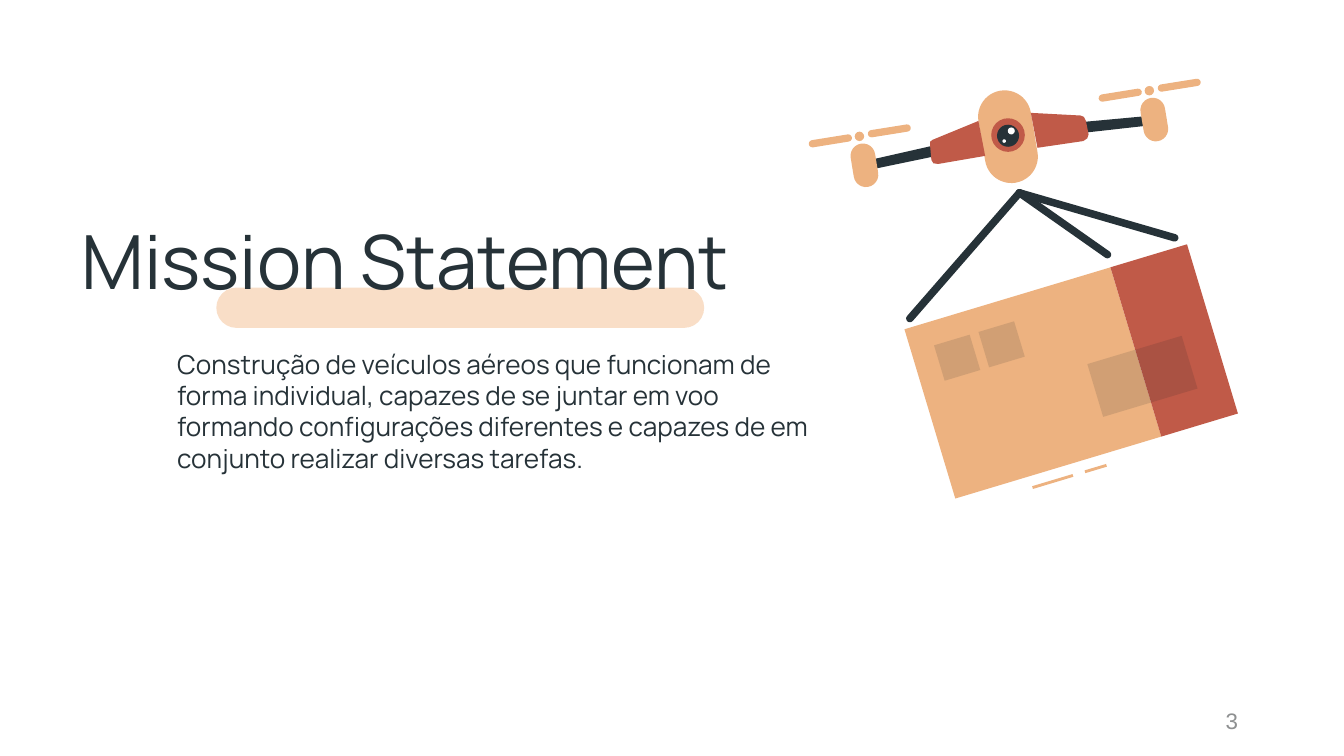
import math

from lxml import etree
from pptx import Presentation, util as u
from pptx.dml.color import RGBColor
from pptx.enum import shapes as sh, text as tx
from pptx.oxml import ns

# The slide is a grid of square cells, 100 columns wide.
COLS, ROWS = 100, 56.25
CELL = u.Inches(0.1)

INK = RGBColor(0x26, 0x32, 0x38)
SAND = RGBColor(0xED, 0xB2, 0x80)
PALE = RGBColor(0xF9, 0xDE, 0xC7)
RUST = RGBColor(0xC0, 0x5A, 0x48)
SHADE = RGBColor(0x1A, 0x23, 0x27)
WHITE = RGBColor(0xFF, 0xFF, 0xFF)
GREY = RGBColor(0x8E, 0x90, 0x91)

TILT = math.atan2(4.6, 15.3)
CRATE = (67.3, 24.5)
SPAN, TALL = 16, 13.15
HOOK = (75.85, 14.35)


def grid(*cells):
    return [u.Emu(round(n * CELL)) for n in cells]


def paint(shape, color):
    shape.shadow.inherit = False
    shape.fill.solid()
    shape.fill.fore_color.rgb = color
    shape.line.fill.background()
    return shape


def poly(art, points, color):
    pts = [grid(*p) for p in points]
    form = art.build_freeform(*pts[0], scale=1.0)
    form.add_line_segments(pts[1:], close=True)
    return paint(form.convert_to_shape(), color)


def bar(art, start, end, thick, color):
    """Round-ended bar whose caps are centred on start and end."""
    (x1, y1), (x2, y2) = start, end
    size = math.dist(start, end) + thick
    left, top = (x1 + x2 - size) / 2, (y1 + y2 - thick) / 2
    pill = art.add_shape(sh.MSO_SHAPE.ROUNDED_RECTANGLE,
                         *grid(left, top, size, thick))
    pill.adjustments[0] = 0.5
    pill.rotation = math.degrees(math.atan2(y2 - y1, x2 - x1))
    return paint(pill, color)


def disc(art, x, y, r, color):
    spot = art.add_shape(sh.MSO_SHAPE.OVAL,
                         *grid(x - r, y - r, 2 * r, 2 * r))
    paint(spot, color)


def panel(art, along, down, wide, high, color):
    """Rectangle measured along the tilted edges of the crate."""
    cos, sin = math.cos(TILT), math.sin(TILT)
    ends = [(along, down), (along + wide, down),
            (along + wide, down + high), (along, down + high)]
    return poly(art, [(CRATE[0] + a * cos + d * sin,
                       CRATE[1] - a * sin + d * cos) for a, d in ends], color)


def fade(shape, share):
    tone = shape.fill._xPr.find(".//" + ns.qn("a:srgbClr"))
    etree.SubElement(tone, ns.qn("a:alpha"), val=str(share * 1000))


def rotor(art, x, y):
    """Motor with two blades around the hub at x, y."""
    bar(art, (x + 0.25, y + 1.45), (x + 0.48, y + 2.85), 1.84, SAND)
    disc(art, x, y, 0.35, SAND)
    bar(art, (x + 0.9, y - 0.2), (x + 3.55, y - 0.62), 0.54, SAND)
    bar(art, (x - 3.5, y + 0.55), (x - 0.83, y + 0.12), 0.54, SAND)


def crate(art):
    for along, wide in ((5.73, 3.14), (9.81, 1.67)):
        panel(art, along, 13.92, wide, 0.21, SAND)
    panel(art, 0, 0, SPAN, TALL, SAND)
    panel(art, SPAN, 0, 5.95, TALL, RUST)
    for along, down, wide, high in ((12.28, 6.4, 7.33, 4.1),
                                    (1.76, 1.78, 2.77, 2.75),
                                    (5.21, 1.78, 2.77, 2.75)):
        fade(panel(art, along, down, wide, high, SHADE), 13)


def drone(art):
    bar(art, (74.75, 8.7), (75.25, 11.65), 3.95, SAND)
    for spot in ((75, 10.05, 1.25, RUST), (75, 10.1, 0.82, INK),
                 (75.25, 9.75, 0.26, WHITE), (74.72, 10.5, 0.13, WHITE)):
        disc(art, *spot)
    poly(art, [(85.8, 8.6), (80.4, 9.1), (80.5, 9.9), (85.9, 9.3)], INK)
    poly(art, [(69.6, 10.8), (64.3, 12), (64.4, 12.7), (69.7, 11.6)], INK)
    poly(art, [(76.7, 8.4), (80.4, 8.6), (80.65, 8.7), (80.8, 9),
               (81, 10), (80.9, 10.3), (80.6, 10.5), (77.2, 11)], RUST)
    poly(art, [(72.8, 9), (69.4, 10.4), (69.2, 10.55), (69.2, 10.8),
               (69.3, 11.9), (69.45, 12.15), (69.8, 12.2), (73.3, 11.6)], RUST)
    rotor(art, 85.52, 6.75)
    rotor(art, 63.95, 10.15)


def ropes(art):
    for end in ((87.4, 17.7), (82.4, 18.95), (67.7, 23.7)):
        bar(art, HOOK, end, 0.56, INK)


def label(slide, place, words, size, face, color, inset=1):
    box = slide.shapes.add_textbox(*grid(*place))
    frame = box.text_frame
    frame.word_wrap = True
    frame.margin_left = frame.margin_right = CELL
    frame.margin_top = frame.margin_bottom = grid(inset)[0]
    frame.text = words
    font = frame.paragraphs[0].runs[0].font
    font.size, font.name, font.color.rgb = u.Pt(size), face, color
    return frame


def main():
    deck = Presentation()
    deck.slide_width, deck.slide_height = grid(COLS, ROWS)
    slide = deck.slides.add_slide(deck.slide_layouts[6])

    bar(slide.shapes, (17.6, 22.9), (50.9, 22.9), 3, PALE)
    label(slide, (5.1, 15, 58.4, 7.9), "Mission Statement",
          40, "Manrope", INK)
    label(slide, (12.2, 24.9, 51, 18.3),
          "Construção de veículos aéreos que funcionam de forma individual, "
          "capazes de se juntar em voo formando configurações diferentes e "
          "capazes de em conjunto realizar diversas tarefas.",
          14, "Manrope", INK)

    art = slide.shapes.add_group_shape().shapes
    crate(art)
    drone(art)
    ropes(art)

    page = label(slide, (70.6, 52.1, 22.5, 3), "3", 12, "Arial", GREY, 0.5)
    page.vertical_anchor = tx.MSO_ANCHOR.MIDDLE
    page.paragraphs[0].alignment = tx.PP_ALIGN.RIGHT
    deck.save("out.pptx")


if __name__ == "__main__":
    main()
